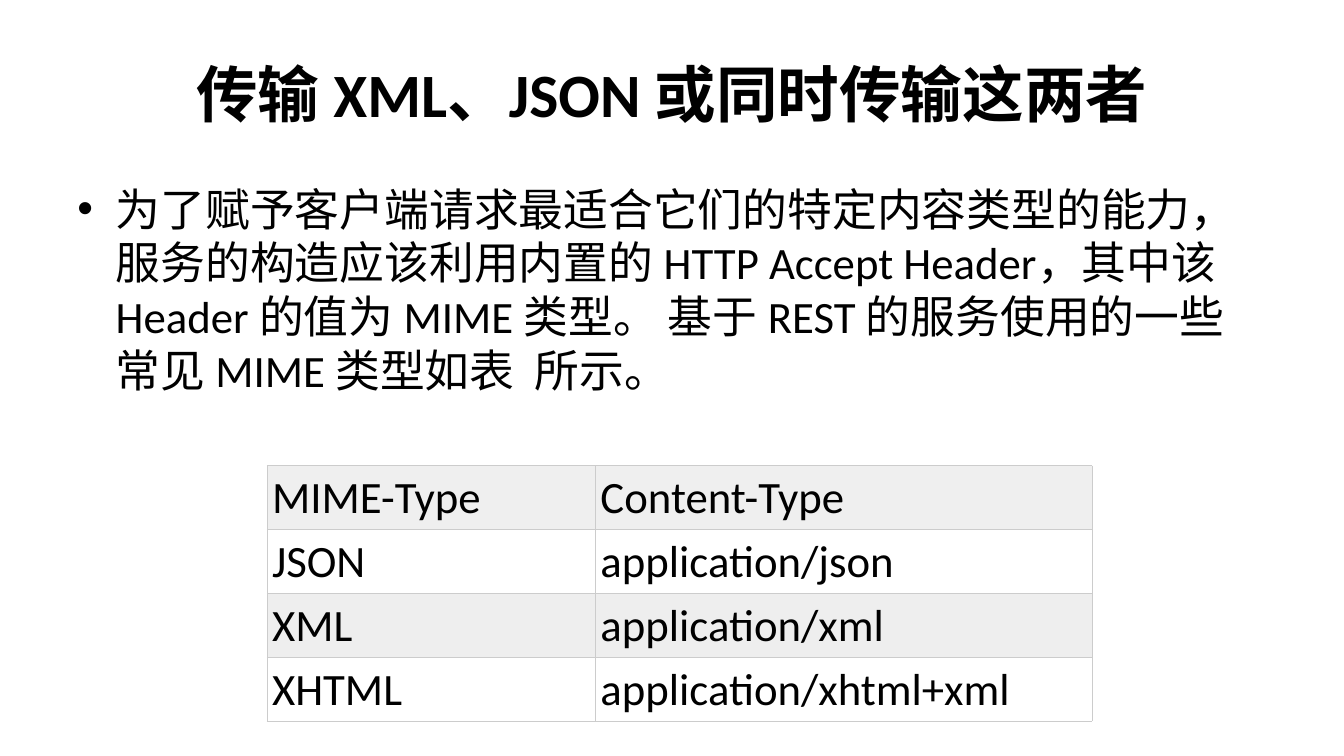
from lxml import etree
from pptx import Presentation
from pptx.dml.color import RGBColor
from pptx.enum.text import MSO_ANCHOR, PP_ALIGN
from pptx.oxml.ns import qn
from pptx.util import Inches, Pt

MIDDLE = MSO_ANCHOR.MIDDLE
TOP = MSO_ANCHOR.TOP
CENTER = PP_ALIGN.CENTER
LEFT = PP_ALIGN.LEFT

COLORS = {
    "text": "000000",
    "head": "EFEFEF",
    "band": "EEEEEE",
    "plain": "FFFFFF",
    "line": "CCCCCC",
}
ROWS = [
    ("MIME-Type", "Content-Type"),
    ("JSON", "application/json"),
    ("XML", "application/xml"),
    ("XHTML", "application/xhtml+xml"),
]
FILLS = ["head", "plain", "band", "plain"]


class Deck:
    font = "Calibri"

    def __init__(self, width, height):
        self.deck = Presentation()
        self.deck.slide_width = Inches(width)
        self.deck.slide_height = Inches(height)
        self.slide = self.deck.slides.add_slide(self.deck.slide_layouts[6])

    def color(self, name):
        return RGBColor.from_string(COLORS[name])

    def add_run(self, para, text, size, bold=False):
        run = para.add_run()
        run.text = text
        run.font.name = self.font
        run.font.size = Pt(size)
        run.font.bold = bold
        run.font.color.rgb = self.color("text")

    def text(self, box, text, size, bold=False, align=LEFT, anchor=TOP, bullet=False):
        frame = self.slide.shapes.add_textbox(*map(Inches, box)).text_frame
        frame.word_wrap = True
        frame.vertical_anchor = anchor
        para = frame.paragraphs[0]
        para.alignment = align
        if bullet:
            self.bullet(para)
        self.add_run(para, text, size, bold)

    def bullet(self, para):
        props = para._p.get_or_add_pPr()
        props.set("marL", str(Inches(0.38)))
        props.set("indent", str(-Inches(0.38)))
        tint = etree.SubElement(props, qn("a:buClr"))
        etree.SubElement(tint, qn("a:srgbClr"), val=COLORS["text"])
        etree.SubElement(props, qn("a:buFont"), typeface="Arial")
        etree.SubElement(props, qn("a:buChar"), char="•")

    def border(self, cell):
        props = cell._tc.get_or_add_tcPr()
        for side in ("lnL", "lnR", "lnT", "lnB"):
            line = etree.SubElement(props, qn("a:" + side), w=str(Pt(0.34)))
            fill = etree.SubElement(line, qn("a:solidFill"))
            etree.SubElement(fill, qn("a:srgbClr"), val=COLORS["line"])

    def table(self, left, top, widths, height, rows, fills, size):
        box = map(Inches, (left, top, sum(widths), height * len(rows)))
        grid = self.slide.shapes.add_table(len(rows), len(widths), *box).table
        for col, width in zip(grid.columns, widths):
            col.width = Inches(width)
        for row, words, fill in zip(grid.rows, rows, fills):
            row.height = Inches(height)
            for cell, word in zip(row.cells, words):
                self.border(cell)
                cell.fill.solid()
                cell.fill.fore_color.rgb = self.color(fill)
                cell.margin_left = cell.margin_top = Inches(0.05)
                cell.margin_right = Inches(0.04)
                cell.margin_bottom = Inches(0.05)
                self.add_run(cell.text_frame.paragraphs[0], word, size)


def main():
    page = Deck(13.34, 7.5)
    page.text((0.67, 0.3, 12, 1.25), "传输 XML、JSON 或同时传输这两者", 44,
              bold=True, align=CENTER, anchor=MIDDLE)
    page.text((0.67, 1.75, 12, 4.95),
              "为了赋予客户端请求最适合它们的特定内容类型的能力，"
              "服务的构造应该利用内置的 HTTP Accept Header，其中该 Header 的值为 MIME 类型。 "
              "基于 REST 的服务使用的一些常见 MIME 类型如表  所示。",
              32, bullet=True)
    page.table(2.65, 4.62, (3.26, 4.93), 0.62, ROWS, FILLS, 32)
    page.deck.save("out.pptx")


if __name__ == "__main__":
    main()
